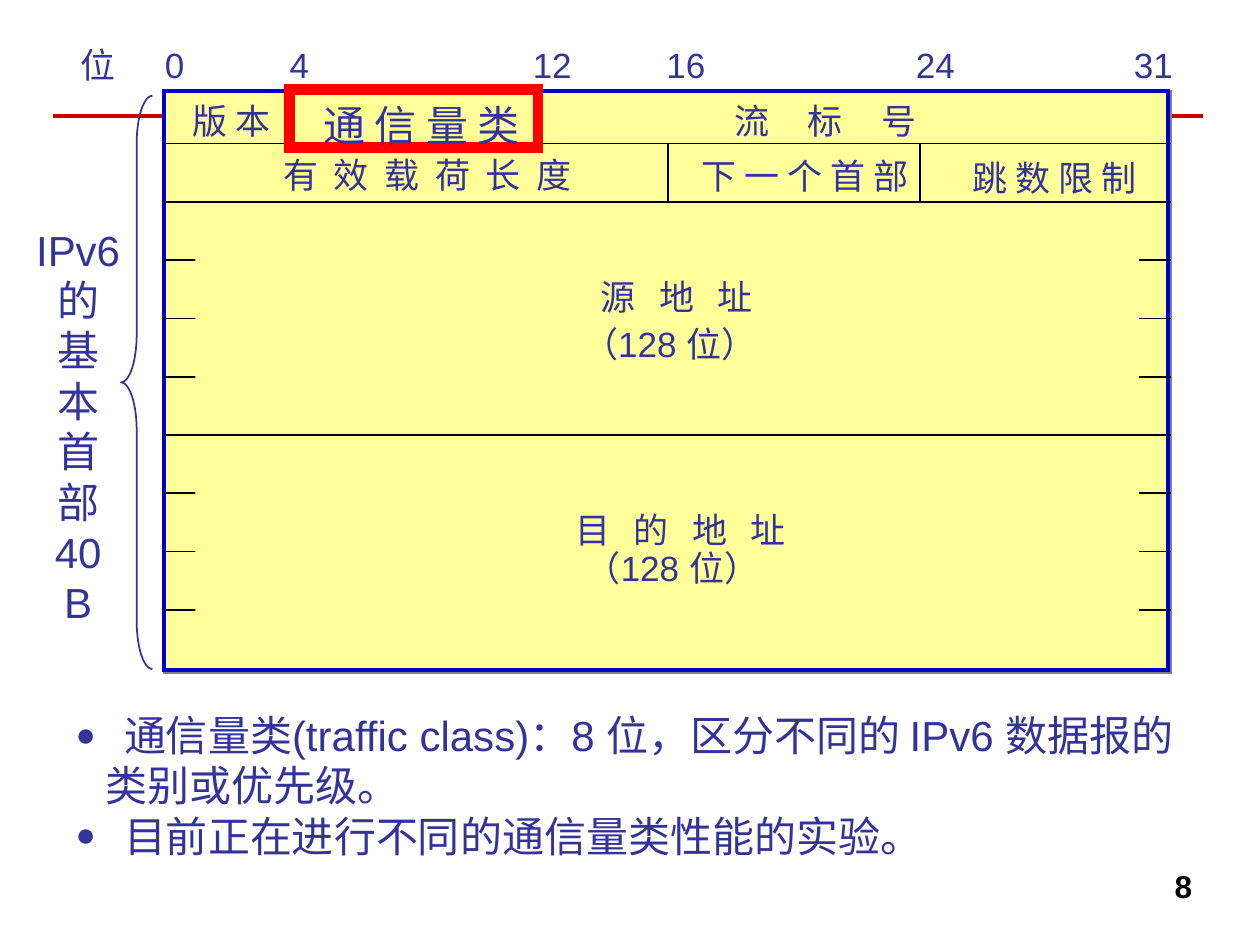
import pptx
import pptx.util
import pptx.dml.color
import pptx.enum.shapes
import pptx.enum.text
import pptx.oxml
import pptx.oxml.ns

Inches, Pt = pptx.util.Inches, pptx.util.Pt
SHAPE = pptx.enum.shapes.MSO_SHAPE
ALIGN = pptx.enum.text.PP_ALIGN
AUTO_SIZE = pptx.enum.text.MSO_AUTO_SIZE
COLORS = {
    name: pptx.dml.color.RGBColor.from_string(value)
    for name, value in {
        "text": "333399", "field": "FFFF99", "frame": "0000CC", "rule": "CC0000",
        "mark": "FF0000", "grid": "000000",
    }.items()
}
NS = pptx.oxml.ns.nsdecls("a")

# Header grid: 32 bit columns; one flag row, then nine 32-bit rows
LEFT, TOP, COL = 1.3, 0.72, 0.25
ROW_1, ROW = 1.14, 3.7 / 8
RIGHT = 9.29

prs = pptx.Presentation()
prs.slide_width, prs.slide_height = Inches(10), Inches(7.5)
s = prs.slides.add_slide(prs.slide_layouts[1])
title, body = s.placeholders
title._element.getparent().remove(title._element)


def add_line(x1, y1, x2, y2, color="grid", width=1):
    line = s.shapes.add_connector(
        pptx.enum.shapes.MSO_CONNECTOR.STRAIGHT, *map(Inches, (x1, y1, x2, y2)))
    line.line.color.rgb = COLORS[color]
    line.line.width = Pt(width)
    line._element.spPr.append(pptx.oxml.parse_xml(f"<a:effectLst {NS}/>"))


def add_run(p, text, size=20, spacing=0, color="text", bold=False):
    """Add a run; spacing is extra room after each character, in points."""
    r = p.add_run()
    r.text = text
    fmt = {"name": "Arial", "size": Pt(size), "bold": bold}
    for key, value in fmt.items():
        setattr(r.font, key, value)
    r.font.color.rgb = COLORS[color]
    if spacing:
        r._r.get_or_add_rPr().set("spc", str(round(spacing * 100)))


add_line(0.42, 0.92, 9.55, 0.92, "rule", 2)

# Yellow header block, then grid lines, then the masks that leave ticks
panels = [
    (LEFT, TOP, 7.97, 4.6, "field", "frame", 2.25),
    (LEFT + COL, ROW_1 + 5.67 * ROW, 7.49, 1.23, "field", None, 0),
    (LEFT + COL, ROW_1 + 1.67 * ROW, 7.49, 1.23, "field", None, 0),
    (LEFT + 4 * COL, 0.71, 1.97, 0.46, None, "mark", 6),
]
for i, (x, y, w, h, fill, line, width) in enumerate(panels):
    sp = s.shapes.add_shape(SHAPE.RECTANGLE, *map(Inches, (x, y, w, h)))
    sp.shadow.inherit = False
    if fill:
        sp.fill.solid()
        sp.fill.fore_color.rgb = COLORS[fill]
    else:
        sp.fill.background()
    if line:
        sp.line.color.rgb = COLORS[line]
        sp.line.width = Pt(width)
        sp.line._get_or_add_ln().append(
            pptx.oxml.parse_xml(f'<a:miter {NS} lim="800000"/>'))
    else:
        sp.line.fill.background()
    if i == 0:
        sp._element.spPr.find(pptx.oxml.ns.qn("a:effectLst")).append(pptx.oxml.parse_xml(
            f'<a:outerShdw {NS} dist="17780" dir="2700000" algn="ctr" rotWithShape="0">'
            '<a:srgbClr val="808080"/></a:outerShdw>'))
        for row in range(9):
            add_line(LEFT, ROW_1 + row * ROW, RIGHT, ROW_1 + row * ROW)
        for bit, row_top, row_bottom in [
            (4, TOP, ROW_1), (12, TOP, ROW_1),
            (16, ROW_1, ROW_1 + ROW), (24, ROW_1, ROW_1 + ROW),
        ]:
            add_line(LEFT + bit * COL, row_top, LEFT + bit * COL, row_bottom)

brace = s.shapes.add_shape(SHAPE.LEFT_BRACE, *map(Inches, (0.96, 0.76, 0.25, 4.55)))
brace.adjustments[0] = 1.52
brace.shadow.inherit = False
brace.fill.background()
brace.line.color.rgb = COLORS["text"]
brace.line.width = Pt(1)

# Bit numbers and field names: left, top, width, text, size, letter spacing
SPACE = 2.2  # widens each gap by about one more space
labels = [(x, 0.3, w, text, 20, 0) for x, w, text in [
    (0.54, 0.48, "位"), (1.21, 0.35, "0"), (2.2, 0.35, "4"), (4.13, 0.51, "12"),
    (5.19, 0.51, "16"), (7.17, 0.51, "24"), (8.9, 0.51, "31"),
]] + [
    (1.43, 0.74, 0.82, "版 本", 20, 0),
    (2.47, 0.74, 1.76, "通 信 量 类", 24, 0),
    (5.73, 0.74, 1.66, "流 标 号", 20, 4 * SPACE),
    (2.15, 1.17, 2.49, "有 效 载 荷 长 度", 20, SPACE),
    (5.47, 1.18, 1.84, "下 一 个 首 部", 20, 0),
    (7.62, 1.19, 1.5, "跳 数 限 制", 20, 0),
    (4.67, 2.14, 1.41, "源 地 址", 20, 2 * SPACE),
    (4.53, 2.51, 1.71, "（128 位）", 20, 0),
    (4.47, 3.99, 1.87, "目 的 地 址", 20, 2 * SPACE),
    (4.55, 4.29, 1.71, "（128 位）", 20, 0),
]
for x, y, w, text, size, spacing in labels:
    tf = s.shapes.add_textbox(*map(Inches, (x, y, w, 0.43))).text_frame
    tf.word_wrap = False
    tf.auto_size = AUTO_SIZE.SHAPE_TO_FIT_TEXT
    p = tf.paragraphs[0]
    add_run(p, text[:-1], size, spacing)
    add_run(p, text[-1], size)

tf = s.shapes.add_textbox(*map(Inches, (0.18, 1.73, 0.88, 3.3))).text_frame
tf.word_wrap = False
tf.auto_size = AUTO_SIZE.SHAPE_TO_FIT_TEXT
for i, text in enumerate(["IPv6", *"的基本首部", "40 B"]):
    p = tf.add_paragraph() if i else tf.paragraphs[0]
    p.alignment = ALIGN.CENTER
    add_run(p, text, 24)

body.left, body.top, body.width, body.height = map(Inches, (0.5, 5.58, 8.93, 1.3))
tf = body.text_frame
tf.auto_size = AUTO_SIZE.NONE
tf.vertical_anchor = pptx.enum.text.MSO_ANCHOR.TOP
for i, text in enumerate([
    "通信量类(traffic class)：8 位，区分不同的 IPv6 数据报的类别或优先级。",
    "目前正在进行不同的通信量类性能的实验。",
]):
    p = tf.add_paragraph() if i else tf.paragraphs[0]
    p.space_before = Pt(0)
    pPr = p._p.get_or_add_pPr()
    pPr.set("marL", str(Inches(0.24)))
    pPr.set("indent", str(-Inches(0.24)))
    for xml in (
        f'<a:buClr {NS}><a:srgbClr val="{COLORS["text"]}"/></a:buClr>',
        f'<a:buSzPct {NS} val="80000"/>',
        f'<a:buFont {NS} typeface="Arial"/>',
        f'<a:buChar {NS} char="●"/>',
    ):
        pPr.append(pptx.oxml.parse_xml(xml))
    add_run(p, " ", 24, 5)
    add_run(p, text, 24)

tf = s.shapes.add_textbox(*map(Inches, (7.23, 6.83, 2.33, 0.52))).text_frame
tf.word_wrap = True
tf.paragraphs[0].alignment = ALIGN.RIGHT
add_run(tf.paragraphs[0], "8", 18, color="grid", bold=True)

prs.save("out.pptx")
